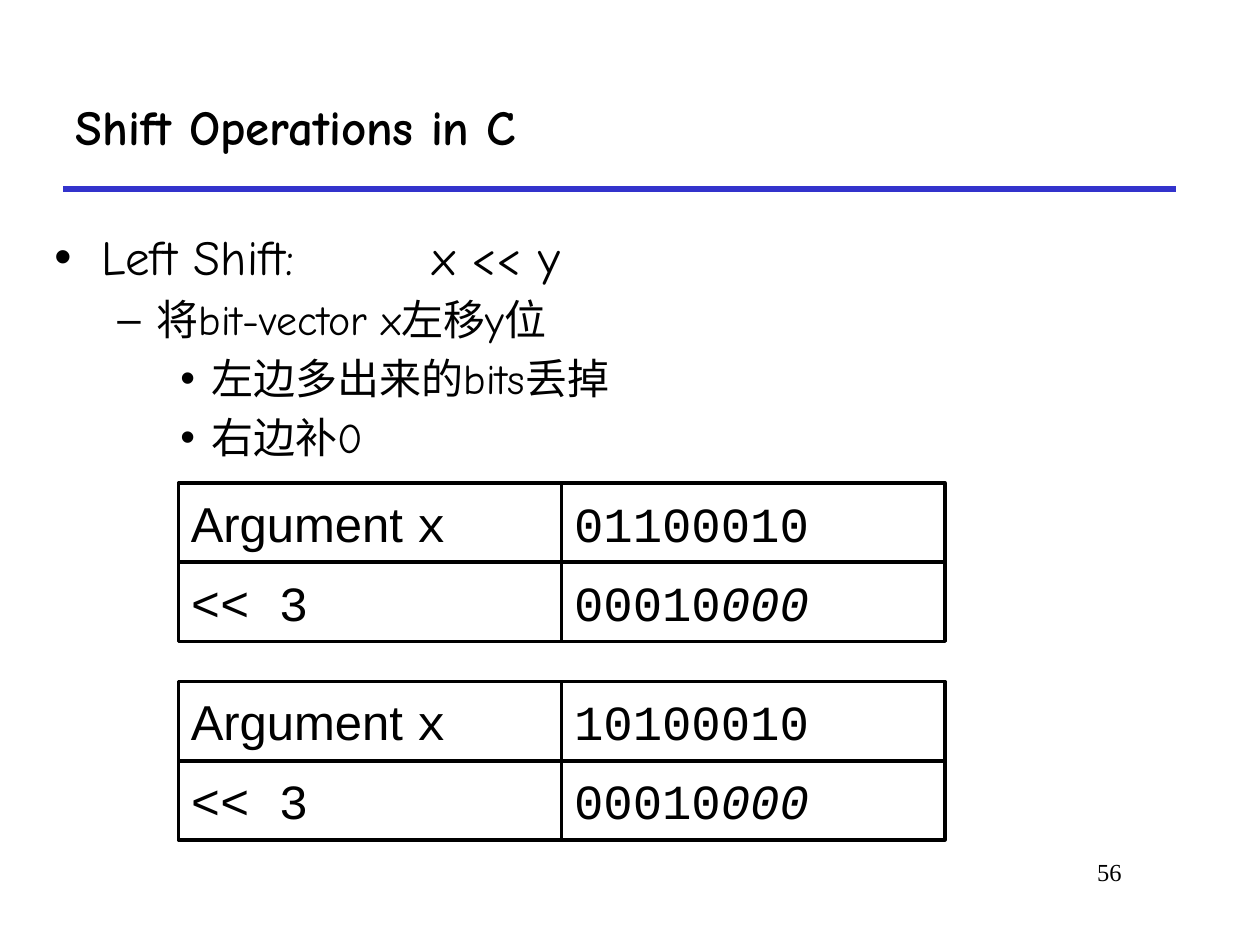
from lxml import etree
from pptx import Presentation
from pptx.dml.color import RGBColor
from pptx.enum.shapes import MSO_CONNECTOR, MSO_SHAPE
from pptx.enum.text import MSO_ANCHOR, PP_ALIGN
from pptx.oxml.ns import qn
from pptx.util import Pt

BLACK = RGBColor(0x00, 0x00, 0x00)
WHITE = RGBColor(0xFF, 0xFF, 0xFF)
RULE_BLUE = RGBColor(0x33, 0x33, 0xCC)

HAND, SANS, MONO, SERIF = "Comic Neue", "Arial", "Courier New", "Times New Roman"

# level: (bullet, text indent, hanging indent, font size)
BULLET_LEVELS = [("•", 27, 27, 28), ("–", 58.5, 22.5, 24), ("•", 90, 18, 24)]

BULLETS = [
    (0, "Left Shift: \tx << y"),
    (1, "将bit-vector x左移y位"),
    (2, "左边多出来的bits丢掉"),
    (2, "右边补0"),
]

# a cell is a list of (text, font, italic)
ARGUMENT_LABEL = [("Argument ", SANS, False), ("x", MONO, False)]
SHIFT_LABEL = [("<< 3", MONO, False)]
SHIFTED_BITS = [("00010", MONO, False), ("000", MONO, True)]
EXAMPLES = [("01100010", 276), ("10100010", 389.5)]
CELL_WIDTH, CELL_HEIGHT = 219, 45.25


class SlideBuilder:
    def __init__(self, slide):
        self.slide = slide

    def style(self, run, font, size, bold=False, italic=False):
        run.font.name = font
        run.font.size = Pt(size)
        run.font.bold = bold
        run.font.italic = italic
        run.font.color.rgb = BLACK

    def space_before(self, paragraph):
        """Set the space before to 20 % of the line and return the properties."""
        props = paragraph._p.get_or_add_pPr()
        spacing = etree.SubElement(props, qn("a:spcBef"))
        etree.SubElement(spacing, qn("a:spcPct"), val="20000")
        return props

    def title(self, text, left, top, width, height):
        heading = self.slide.shapes.title
        heading.left, heading.top = Pt(left), Pt(top)
        heading.width, heading.height = Pt(width), Pt(height)
        frame = heading.text_frame
        frame.text = text
        frame.vertical_anchor = MSO_ANCHOR.MIDDLE
        frame.paragraphs[0].alignment = PP_ALIGN.LEFT
        self.style(frame.paragraphs[0].runs[0], HAND, 28, bold=True)

    def rule(self, left, right, y):
        line = self.slide.shapes.add_connector(
            MSO_CONNECTOR.STRAIGHT, Pt(left), Pt(y), Pt(right), Pt(y))
        line.line.color.rgb = RULE_BLUE
        line.line.width = Pt(3)
        etree.SubElement(line._element.spPr, qn("a:effectLst"))

    def text_box(self, *box):
        frame = self.slide.shapes.add_textbox(*map(Pt, box)).text_frame
        frame.word_wrap = True
        return frame

    def page_number(self, text, *box):
        paragraph = self.text_box(*box).paragraphs[0]
        paragraph.text = text
        paragraph.alignment = PP_ALIGN.RIGHT
        self.style(paragraph.runs[0], SERIF, 14)

    def bullets(self, items, *box):
        frame = self.text_box(*box)
        frame.text = "\n".join(text for _, text in items)
        for paragraph, (level, _) in zip(frame.paragraphs, items):
            mark, indent, hanging, size = BULLET_LEVELS[level]
            paragraph.level = level
            props = self.space_before(paragraph)
            props.set("marL", str(Pt(indent)))
            props.set("indent", str(-Pt(hanging)))
            props.set("defTabSz", str(Pt(72)))
            etree.SubElement(props, qn("a:buFont"), typeface=SANS)
            etree.SubElement(props, qn("a:buChar"), char=mark)
            for run in paragraph.runs:
                self.style(run, HAND, size)

    def grid(self, rows, left, top):
        """Draw the rows as one group of bordered rectangles."""
        group = self.slide.shapes.add_group_shape()
        for row, contents in enumerate(rows):
            for column, parts in enumerate(contents):
                self.cell(group, parts, left + column * CELL_WIDTH,
                          top + row * CELL_HEIGHT)

    def cell(self, group, parts, left, top):
        box = group.shapes.add_shape(MSO_SHAPE.RECTANGLE, Pt(left), Pt(top),
                                     Pt(CELL_WIDTH), Pt(CELL_HEIGHT))
        box.shadow.inherit = False
        box.fill.solid()
        box.fill.fore_color.rgb = WHITE
        box.line.color.rgb = BLACK
        box.line.width = Pt(2)
        frame = box.text_frame
        frame.word_wrap = False
        frame.vertical_anchor = MSO_ANCHOR.MIDDLE
        paragraph = frame.paragraphs[0]
        paragraph.alignment = PP_ALIGN.LEFT
        self.space_before(paragraph)
        for text, font, italic in parts:
            run = paragraph.add_run()
            run.text = text
            self.style(run, font, 28, italic=italic)


def main():
    deck = Presentation()
    deck.slide_width, deck.slide_height = Pt(720), Pt(540)
    builder = SlideBuilder(deck.slides.add_slide(deck.slide_layouts[5]))

    builder.rule(36, 672, 108)
    builder.page_number("56", 546, 486, 102, 36)
    builder.title("Shift Operations in C", 36, 36, 636, 72)
    builder.bullets(BULLETS, 24, 126, 462, 348)
    for bits, top in EXAMPLES:
        rows = [(ARGUMENT_LABEL, [(bits, MONO, False)]),
                (SHIFT_LABEL, SHIFTED_BITS)]
        builder.grid(rows, 102, top)

    deck.save("out.pptx")


if __name__ == "__main__":
    main()
